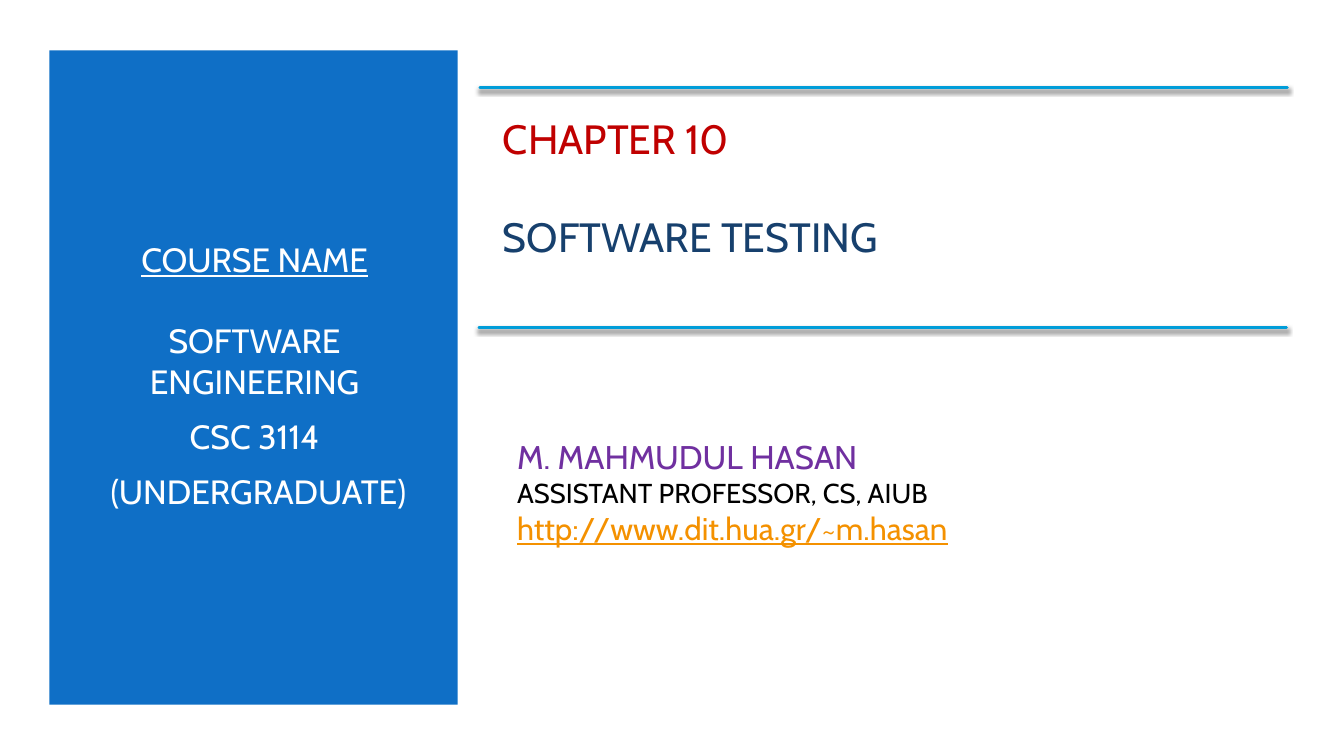
"""Build the opening slide of the software testing chapter."""
from pptx import Presentation
from pptx.dml.color import RGBColor
from pptx.enum.shapes import MSO_CONNECTOR, MSO_SHAPE
from pptx.enum.text import MSO_ANCHOR, PP_ALIGN
from pptx.oxml import parse_xml
from pptx.oxml.ns import nsdecls
from pptx.util import Inches, Pt

COLORS = {
    "white": "FFFFFF",
    "panel": "0F6FC6",
    "rule": "009DD9",
    "chapter": "C00000",
    "topic": "17406D",
    "lecturer": "7030A0",
    "position": "000000",
    "address": "F49100",
}
FONT = "Cabin"


def rgb(name):
    return RGBColor.from_string(COLORS[name])


def add_text(box, lines, align):
    left, top, width, height = (Inches(value) for value in box)
    frame = slide.shapes.add_textbox(left, top, width, height).text_frame
    frame.word_wrap = True
    frame.vertical_anchor = MSO_ANCHOR.MIDDLE
    for index, (words, size, color, underline, gap) in enumerate(lines):
        paragraph = frame.add_paragraph() if index else frame.paragraphs[0]
        paragraph.alignment = align
        if gap:
            paragraph.space_before = Pt(gap)
        run = paragraph.add_run()
        run.text = words
        run.font.name = FONT
        run.font.size = Pt(size)
        run.font.underline = underline
        run.font.color.rgb = rgb(color)


deck = Presentation()
deck.slide_width, deck.slide_height = Inches(13.33), Inches(7.5)
slide = deck.slides.add_slide(deck.slide_layouts[6])
slide.background.fill.solid()
slide.background.fill.fore_color.rgb = rgb("white")

course_panel = slide.shapes.add_shape(
    MSO_SHAPE.RECTANGLE, Inches(0.49), Inches(0.5), Inches(4.05), Inches(6.49))
course_panel.shadow.inherit = False
course_panel.fill.solid()
course_panel.fill.fore_color.rgb = rgb("panel")
course_panel.line.fill.background()

add_text((0.84, 1.1, 3.37, 5.25), [
    ("COURSE NAME", 24, "white", True, 0),
    ("SOFTWARE ENGINEERING", 24, "white", False, 29),
    ("CSC 3114", 24, "white", False, 10.8),
    (" (UNDERGRADUATE)", 24, "white", False, 10.8),
], PP_ALIGN.CENTER)

add_text((4.89, 1.1, 7.85, 1.51), [
    ("CHAPTER 10", 29.2, "chapter", False, 0),
    ("SOFTWARE TESTING", 29.2, "topic", False, 35),
], PP_ALIGN.LEFT)

add_text((5.03, 4.1, 6.66, 1.56), [
    ("M. MAHMUDUL HASAN", 23.4, "lecturer", False, 0),
    ("ASSISTANT PROFESSOR, CS, AIUB", 19.5, "position", False, 0),
    ("http://www.dit.hua.gr/~m.hasan", 22.4, "address", True, 0),
], PP_ALIGN.LEFT)

for left, top in ((4.76, 0.87), (4.75, 3.25)):
    title_rule = slide.shapes.add_connector(
        MSO_CONNECTOR.STRAIGHT, Inches(left), Inches(top), Inches(left + 8.01), Inches(top))
    title_rule.line.color.rgb = rgb("rule")
    title_rule.line.width = Pt(2)
    title_rule.line._get_or_add_ln().set("cap", "rnd")
    title_rule._element.spPr.append(parse_xml(
        f'<a:effectLst {nsdecls("a")}>'
        f'<a:outerShdw blurRad="{Pt(3)}" dist="{Pt(2)}" dir="5400000" rotWithShape="0">'
        '<a:srgbClr val="000000"><a:alpha val="55000"/></a:srgbClr>'
        '</a:outerShdw></a:effectLst>'))

deck.save("out.pptx")
